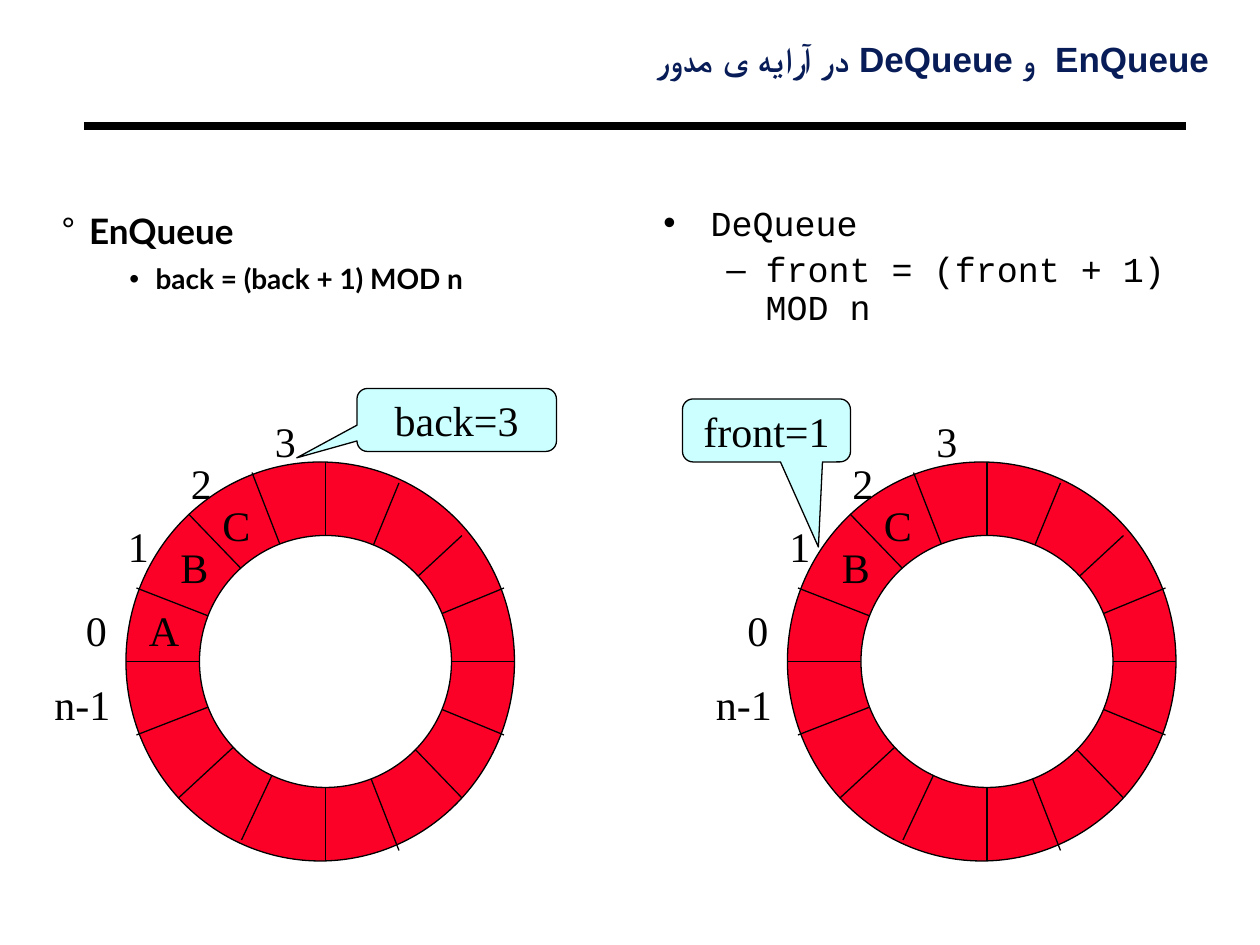
from lxml import etree
from pptx import Presentation
from pptx.dml.color import RGBColor
from pptx.enum import shapes, text
from pptx.oxml import ns
from pptx.util import Cm, Pt

BLACK = RGBColor(0x00, 0x00, 0x00)
WHITE = RGBColor(0xFF, 0xFF, 0xFF)
NAVY = RGBColor(0x08, 0x1D, 0x58)
RED = RGBColor(0xFC, 0x01, 0x28)
PALE_CYAN = RGBColor(0xCC, 0xFF, 0xFF)
UNIT = 2.54 / 12  # the layout grid: a twelfth of an inch, in cm
RING_SHIFT = 63
SERIF = {"name": "Times New Roman", "size": Pt(24)}


def grid(*units):
    """Turn grid units into lengths."""
    return [Cm(n * UNIT) for n in units]


def write(paragraph, words, font, color=BLACK):
    run = paragraph.add_run()
    run.text = words
    for key, value in font.items():
        setattr(run.font, key, value)
    run.font.color.rgb = color
    return run


prs = Presentation()
prs.slide_width, prs.slide_height = Cm(25.4), Cm(19.05)
slide = prs.slides.add_slide(prs.slide_layouts[3])
title, enqueue, dequeue = slide.placeholders

# Title
title.left, title.top, title.width, title.height = grid(4, 3.75, 112, 4.25)
heading = title.text_frame
for key, value in {"margin_left": Cm(0.18), "margin_right": Cm(0.18),
                   "margin_top": Cm(0.08), "margin_bottom": Cm(0.08),
                   "auto_size": text.MSO_AUTO_SIZE.SHAPE_TO_FIT_TEXT}.items():
    setattr(heading, key, value)
line = heading.paragraphs[0]
line.alignment = text.PP_ALIGN.RIGHT
line.line_spacing = 0.87
line._p.get_or_add_pPr().set("rtl", "1")
run = write(line, "EnQueue  و DeQueue در آرایه ی مدور",
            {"name": "Arial", "size": Pt(20), "bold": True}, NAVY)
etree.SubElement(run._r.get_or_add_rPr(), ns.qn("a:cs"), typeface="Arial")

# Operation lists: (text, bullet, left margin, hanging indent, space before, size)
operations = [
    (enqueue, (5, 20, 54, 14.6), (0.18, 0.08), {"name": "Lato", "bold": True},
     [("EnQueue", "°", 0.56, 0.56, 0, 20),
      ("back = (back + 1) MOD n", "•", 1.9, 0.53, 8, 16)]),
    (dequeue, (62, 19, 57, 12), (0.25, 0.13), {"name": "Courier New", "bold": False},
     [("DeQueue", "•", 0.95, 0.95, 0, 20),
      ("front = (front + 1) MOD n", "–", 2.06, 0.79, 5, 20)]),
]
for body, place, (side, edge), font, items in operations:
    body.left, body.top, body.width, body.height = grid(*place)
    frame = body.text_frame
    frame.margin_left = frame.margin_right = Cm(side)
    frame.margin_top = frame.margin_bottom = Cm(edge)
    frame.auto_size = text.MSO_AUTO_SIZE.NONE
    for level, (words, bullet, margin, hang, before, size) in enumerate(items):
        item = frame.add_paragraph() if level else frame.paragraphs[0]
        item.level = level
        item.line_spacing = 0.9
        item.space_before = Pt(before)
        props = item._p.get_or_add_pPr()
        props.set("marL", str(Cm(margin)))
        props.set("indent", str(-Cm(hang)))
        bullet_color = etree.SubElement(props, ns.qn("a:buClr"))
        etree.SubElement(bullet_color, ns.qn("a:srgbClr"), val=str(BLACK))
        etree.SubElement(props, ns.qn("a:buChar"), char=bullet)
        write(item, words, {**font, "size": Pt(size)})

# Ring geometry in grid units, for the left ring
center = (31, 63)
spokes = [(12, 63, 49, 63), (31, 44, 31, 82), (18, 49, 44, 76), (17, 76, 44, 51)]
spokes += [(*center, *end) for end in [(13, 56), (13, 70), (24, 45), (38, 81),
                                       (23, 80), (38, 46), (48, 56), (48, 70)]]
cells = {"A": (13, 57), "B": (16, 51), "C": (20, 47)}
indexes = {"0": (7, 57), "1": (11, 49), "2": (17, 43), "3": (25, 39), "n-1": (4, 64)}

rings = [
    (0, "ABC", "back=3", (34, 37, 19, 6), (-0.802, 0.601, 0.167)),
    (RING_SHIFT, "BC", "front=1", (65, 38, 16, 6), (0.309, 1.851, 0.167)),
]
lines = [((8, 12, 113, 12), 4.5)]
outlined = []
for shift, queued, pointer, place, tail in rings:
    ring = slide.shapes.add_shape(shapes.MSO_SHAPE.OVAL, *grid(12 + shift, 44, 37, 38))
    outlined.append((ring, RED))
    for x1, y1, x2, y2 in spokes:
        lines.append(((x1 + shift, y1, x2 + shift, y2), 0.75))

for ends, weight in lines:
    connector = slide.shapes.add_connector(shapes.MSO_CONNECTOR.STRAIGHT, *grid(*ends))
    connector.line.color.rgb = BLACK
    connector.line.width = Pt(weight)
    etree.SubElement(connector._element.spPr, ns.qn("a:effectLst"))

for shift, queued, pointer, place, tail in rings:
    hole = slide.shapes.add_shape(shapes.MSO_SHAPE.OVAL, *grid(19 + shift, 51, 24, 24))
    outlined.append((hole, WHITE))

    labels = {**{letter: cells[letter] for letter in queued}, **indexes}
    for words, (x, y) in labels.items():
        label = slide.shapes.add_textbox(*grid(x + shift, y, 8 if words == "n-1" else 6, 6))
        label.text_frame.word_wrap = True
        write(label.text_frame.paragraphs[0], words, SERIF)

    callout = slide.shapes.add_shape(
        shapes.MSO_SHAPE.ROUNDED_RECTANGULAR_CALLOUT, *grid(*place))
    for n, value in enumerate(tail):
        callout.adjustments[n] = value
    callout.text_frame.word_wrap = True
    caption = callout.text_frame.paragraphs[0]
    caption.alignment = text.PP_ALIGN.CENTER
    write(caption, pointer, SERIF)
    outlined.append((callout, PALE_CYAN))

for shape, color in outlined:
    shape.shadow.inherit = False
    shape.fill.solid()
    shape.fill.fore_color.rgb = color
    shape.line.color.rgb = BLACK
    shape.line.width = Pt(0.75)

prs.save("out.pptx")
